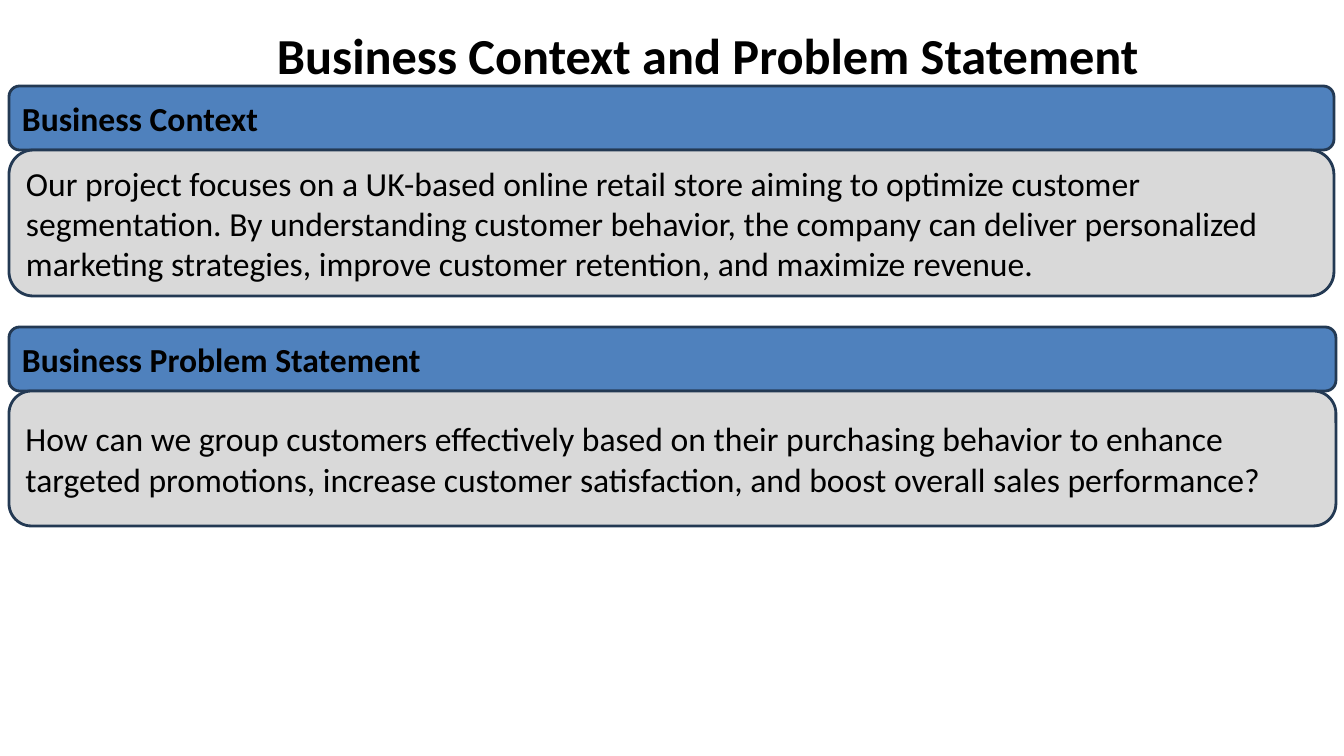
from pptx import Presentation
from pptx import util as u
from pptx.dml.color import RGBColor
from pptx.enum import shapes, text

BLACK = RGBColor(0x00, 0x00, 0x00)
BLUE = RGBColor(0x4F, 0x81, 0xBD)
GREY = RGBColor(0xD9, 0xD9, 0xD9)
NAVY = RGBColor(0x23, 0x39, 0x53)

PX_PER_INCH = 100.8


def px(n):
    return u.Emu(round(n * 914400 / PX_PER_INCH))


class Deck:
    font = "Calibri"
    title_size = 36
    body_size = 24
    line_width = 2

    def __init__(self, width, height):
        self.prs = Presentation()
        self.prs.slide_width = px(width)
        self.prs.slide_height = px(height)
        self.s = self.prs.slides.add_slide(self.prs.slide_layouts[6])

    def set_text(self, tf, words, size, bold):
        tf.word_wrap = True
        tf.text = words
        p = tf.paragraphs[0]
        p.alignment = text.PP_ALIGN.LEFT
        for r in p.runs:
            r.font.name = self.font
            r.font.size = u.Pt(size)
            r.font.bold = bold
            r.font.color.rgb = BLACK

    def title(self, x, y, w, h, words):
        tf = self.s.shapes.add_textbox(px(x), px(y), px(w), px(h)).text_frame
        tf.margin_left = tf.margin_right = tf.margin_bottom = 0
        tf.margin_top = px(1)
        self.set_text(tf, words, self.title_size, True)

    def panel(self, x, y, w, h, words, fill, bold=False):
        sp = self.s.shapes.add_shape(
            shapes.MSO_SHAPE.ROUNDED_RECTANGLE, px(x), px(y), px(w), px(h))
        sp.shadow.inherit = False
        sp.fill.solid()
        sp.fill.fore_color.rgb = fill
        sp.line.color.rgb = NAVY
        sp.line.width = u.Pt(self.line_width)
        sp.text_frame.vertical_anchor = text.MSO_ANCHOR.MIDDLE
        self.set_text(sp.text_frame, words, self.body_size, bold)

    def section(self, y, w, body_h, heading, body):
        header_h = 64
        self.panel(9, y, w, header_h, heading, BLUE, bold=True)
        self.panel(9, y + header_h, w, body_h, body, GREY)


def main():
    deck = Deck(1344, 756)
    deck.title(277, 23, 953, 125, "Business Context and Problem Statement")
    deck.section(
        86, 1325, 146, "Business Context",
        "Our project focuses on a UK-based online retail store aiming to "
        "optimize customer segmentation. By understanding customer behavior, "
        "the company can deliver personalized marketing strategies, improve "
        "customer retention, and maximize revenue.")
    deck.section(
        327, 1327, 135, "Business Problem Statement",
        "How can we group customers effectively based on their purchasing "
        "behavior to enhance targeted promotions, increase customer "
        "satisfaction, and boost overall sales performance?")
    deck.prs.save("out.pptx")


if __name__ == "__main__":
    main()
